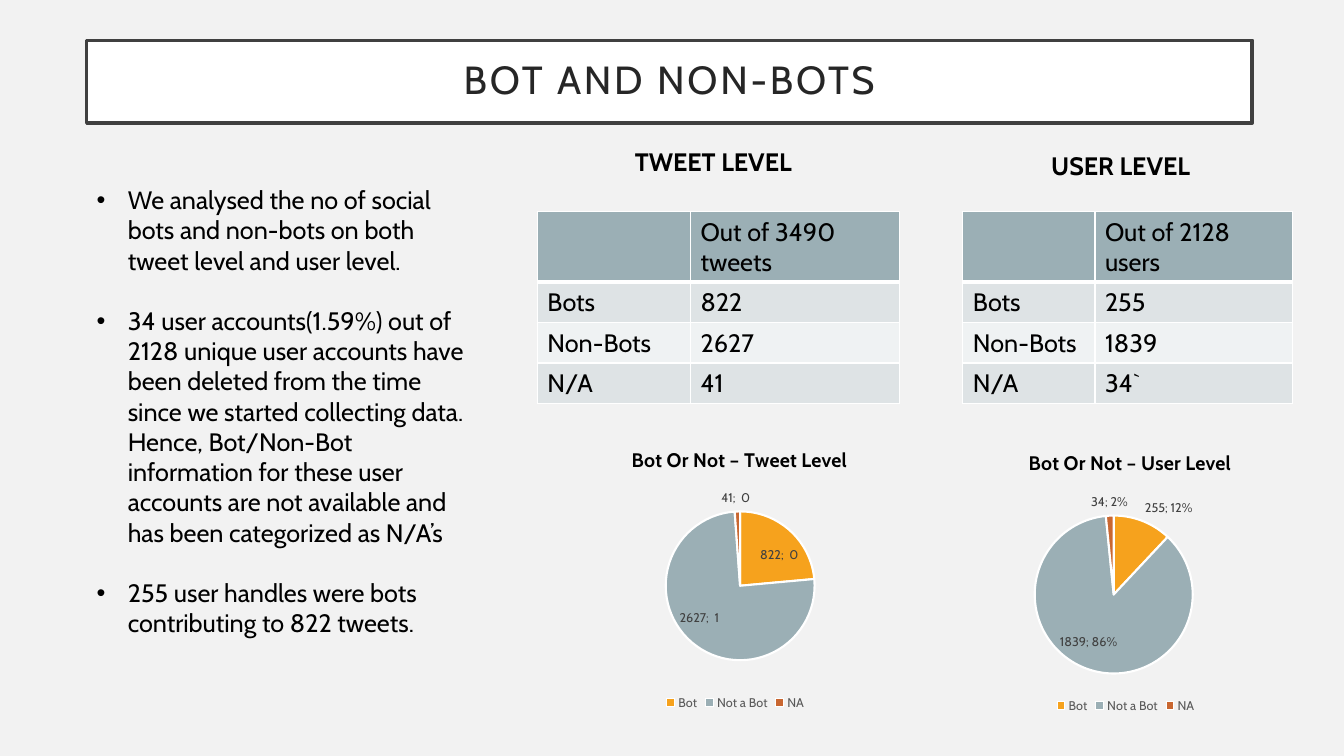
import dataclasses

import pptx
import pptx.chart.data
import pptx.dml.color
import pptx.enum.chart
import pptx.enum.text
import pptx.oxml
import pptx.oxml.ns
import pptx.util

Pt = pptx.util.Pt
ALIGN = pptx.enum.text.PP_ALIGN
qn = pptx.oxml.ns.qn


@dataclasses.dataclass(frozen=True)
class Theme:
    font: str = "Cabin"
    back: str = "F2F2F2"
    white: str = "FFFFFF"
    black: str = "000000"
    ink: str = "262626"
    frame: str = "404040"
    grey: str = "595959"
    head: str = "9BAFB5"
    bands: tuple = ("DEE3E5", "EFF2F3")
    slices: tuple = ("F6A21D", "9BAFB5", "C96731")
    title: int = 28
    body: int = 18
    chart: int = 14
    base: int = 10
    small: int = 9


def px(count):
    """100 px to the inch."""
    return pptx.util.Emu(count * 9144)


def paint(code):
    return pptx.dml.color.RGBColor.from_string(code)


def node(tag, **attrs):
    item = pptx.oxml.parse_xml(f"<{tag} {pptx.oxml.ns.nsdecls(tag[0])}/>")
    for key, value in attrs.items():
        item.set(key, str(value))
    return item


class Board:
    def __init__(self, deck, theme):
        self.theme = theme
        self.slide = deck.slides.add_slide(deck.slide_layouts[5])
        self.fill(self.slide.background, theme.back)

    def fill(self, item, color):
        item.fill.solid()
        item.fill.fore_color.rgb = paint(color)

    def style(self, font, size, color, bold=False):
        font.name, font.size, font.bold = self.theme.font, Pt(size), bold
        font.color.rgb = paint(color)

    def run(self, para, text, size, color, bold=False):
        run = para.add_run()
        run.text = text
        self.style(run.font, size, color, bold)
        return run

    def title(self, text, box):
        shape = self.slide.shapes.title
        shape.left, shape.top, shape.width, shape.height = map(px, box)
        self.fill(shape, self.theme.white)
        shape.line.color.rgb = paint(self.theme.frame)
        shape.line.width = Pt(2.5)
        frame = shape.text_frame
        frame.auto_size = pptx.enum.text.MSO_AUTO_SIZE.NONE
        frame.vertical_anchor = pptx.enum.text.MSO_ANCHOR.MIDDLE
        frame.margin_left = frame.margin_right = px(20)
        frame.margin_top = frame.margin_bottom = px(20)
        para = frame.paragraphs[0]
        para.alignment = ALIGN.CENTER
        para.line_spacing = 0.9
        run = self.run(para, text, self.theme.title, self.theme.ink)
        run.font._element.set("spc", "200")

    def frame(self, box):
        frame = self.slide.shapes.add_textbox(*map(px, box)).text_frame
        frame.word_wrap = True
        frame.auto_size = pptx.enum.text.MSO_AUTO_SIZE.SHAPE_TO_FIT_TEXT
        return frame

    def label(self, text, box):
        para = self.frame(box).paragraphs[0]
        para.alignment = ALIGN.CENTER
        self.run(para, text, self.theme.body, self.theme.black, True)

    def list(self, items, box, gap):
        frame = self.frame(box)
        for index, text in enumerate(items):
            para = frame.add_paragraph() if index else frame.paragraphs[0]
            props = para._p.get_or_add_pPr()
            props.set("marL", str(px(31)))
            props.set("indent", str(px(-31)))
            props.append(node("a:buFont", typeface="Arial"))
            props.append(node("a:buChar", char="•"))
            if index:
                para.space_before = Pt(gap)
            self.run(para, text, self.theme.body, self.theme.black)

    def border(self, cell, widths):
        props = cell._tc.get_or_add_tcPr()
        for side, width in zip("LRTB", widths):
            line = node(f"a:ln{side}", w=Pt(width))
            solid = node("a:solidFill")
            solid.append(node("a:srgbClr", val=self.theme.white))
            line.append(solid)
            props.append(line)

    def table(self, rows, left, top, widths, heights):
        box = left, top, sum(widths), sum(heights)
        grid = self.slide.shapes.add_table(
            len(rows), len(widths), *map(px, box)).table
        grid.first_row = grid.horz_banding = False
        for column, width in zip(grid.columns, widths):
            column.width = px(width)
        for r, (row, height) in enumerate(zip(rows, heights)):
            grid.rows[r].height = px(height)
            for c, text in enumerate(row):
                cell = grid.cell(r, c)
                # Thick rule between the head row and the body
                self.border(cell, (1, 1, 3 if r == 1 else 1, 1 if r else 3))
                self.fill(cell, self.theme.bands[(r - 1) % 2] if r else self.theme.head)
                if text:
                    self.run(cell.text_frame.paragraphs[0], text,
                             self.theme.body, self.theme.black)

    def place(self, parent, index, **spots):
        """Set a fixed layout, in shares of the chart area."""
        for old in parent.findall(qn("c:layout")):
            parent.remove(old)
        layout, manual = node("c:layout"), node("c:manualLayout")
        if "w" in spots:
            manual.append(node("c:layoutTarget", val="inner"))
        for key in "xy":
            manual.append(node(f"c:{key}Mode", val="edge"))
        for key, value in spots.items():
            manual.append(node(f"c:{key}", val=value))
        layout.append(manual)
        parent.insert(index, layout)

    def pie(self, title, values, box, head, plot, form):
        theme = self.theme
        data = pptx.chart.data.CategoryChartData()
        data.categories = ["Bot", "Not a Bot", "NA"]
        data.add_series("Series 1", values)
        chart = self.slide.shapes.add_chart(
            pptx.enum.chart.XL_CHART_TYPE.PIE, *map(px, box), data).chart
        self.style(chart.font, theme.base, theme.black)

        # Heading and plot area
        chart.has_title = True
        para = chart.chart_title.text_frame.paragraphs[0]
        self.run(para, title, theme.chart, theme.black, True)
        self.place(chart.chart_title._element, 1, **head)
        self.place(chart.element.find(".//" + qn("c:plotArea")), 0, **plot)

        # Legend
        chart.has_legend = True
        chart.legend.position = pptx.enum.chart.XL_LEGEND_POSITION.BOTTOM
        chart.legend.include_in_layout = False
        self.style(chart.legend.font, theme.small, theme.grey)

        # Slices and their labels
        pie = chart.plots[0]
        pie.vary_by_categories = True
        for index, color in enumerate(theme.slices):
            look = pie.series[0].points[index].format
            self.fill(look, color)
            look.line.color.rgb = paint(theme.white)
            look.line.width = Pt(1.5)
        pie.has_data_labels = True
        labels = pie.data_labels
        labels.show_value = labels.show_percentage = True
        labels.number_format = form
        labels.number_format_is_linked = False
        labels.position = pptx.enum.chart.XL_LABEL_POSITION.BEST_FIT
        self.style(labels.font, theme.small, theme.frame)
        mark = node("c:separator")
        mark.text = "; "
        flags = chart.element.xpath(
            ".//c:dLbls/*[self::c:showPercent or self::c:showBubbleSize]")
        flags[-1].addnext(mark)


def main():
    deck = pptx.Presentation()
    deck.slide_width, deck.slide_height = px(1333), px(750)
    board = Board(deck, Theme())
    board.title("BOT AND NON-BOTS", (86, 40, 1156, 82))
    board.list([
        "We analysed the no of social bots and non-bots on both tweet level and user level.",
        "34 user accounts(1.59%) out of 2128 unique user accounts have been deleted from the "
        "time since we started collecting data. Hence, Bot/Non-Bot information for these user "
        "accounts are not available and has been categorized as N/A’s",
        "255 user handles were bots contributing to 822 tweets.",
    ], (86, 178, 384, 495), 21.5)

    # Tweet level
    board.pie("Bot Or Not – Tweet Level", (822, 2627, 41), (498, 425, 463, 284),
              dict(x=0.27, y=0.05), dict(x=0.35, y=0.29, w=0.32, h=0.52),
              '_ * #,##0_ ;_ * \\-#,##0_ ;_ * "-"??_ ;_ ')
    # User level
    board.pie("Bot Or Not – User Level", (255, 1839, 34), (879, 428, 475, 284),
              dict(x=0.29, y=0.05), dict(x=0.31, y=0.29, w=0.33, h=0.56), "General")

    # Counts
    names, heights = ("Bots", "Non-Bots", "N/A"), (70, 40, 40, 40)
    for head, counts, left, widths in (
            ("Out of 3490 tweets", ("822", "2627", "41"), 533, (152, 207)),
            ("Out of 2128 users", ("255", "1839", "34`"), 955, (131, 196))):
        board.table([("", head), *zip(names, counts)], left, 210, widths, heights)
    board.label("TWEET LEVEL", (556, 140, 303, 40))
    board.label("USER LEVEL", (960, 144, 303, 40))
    deck.save("out.pptx")


if __name__ == "__main__":
    main()
